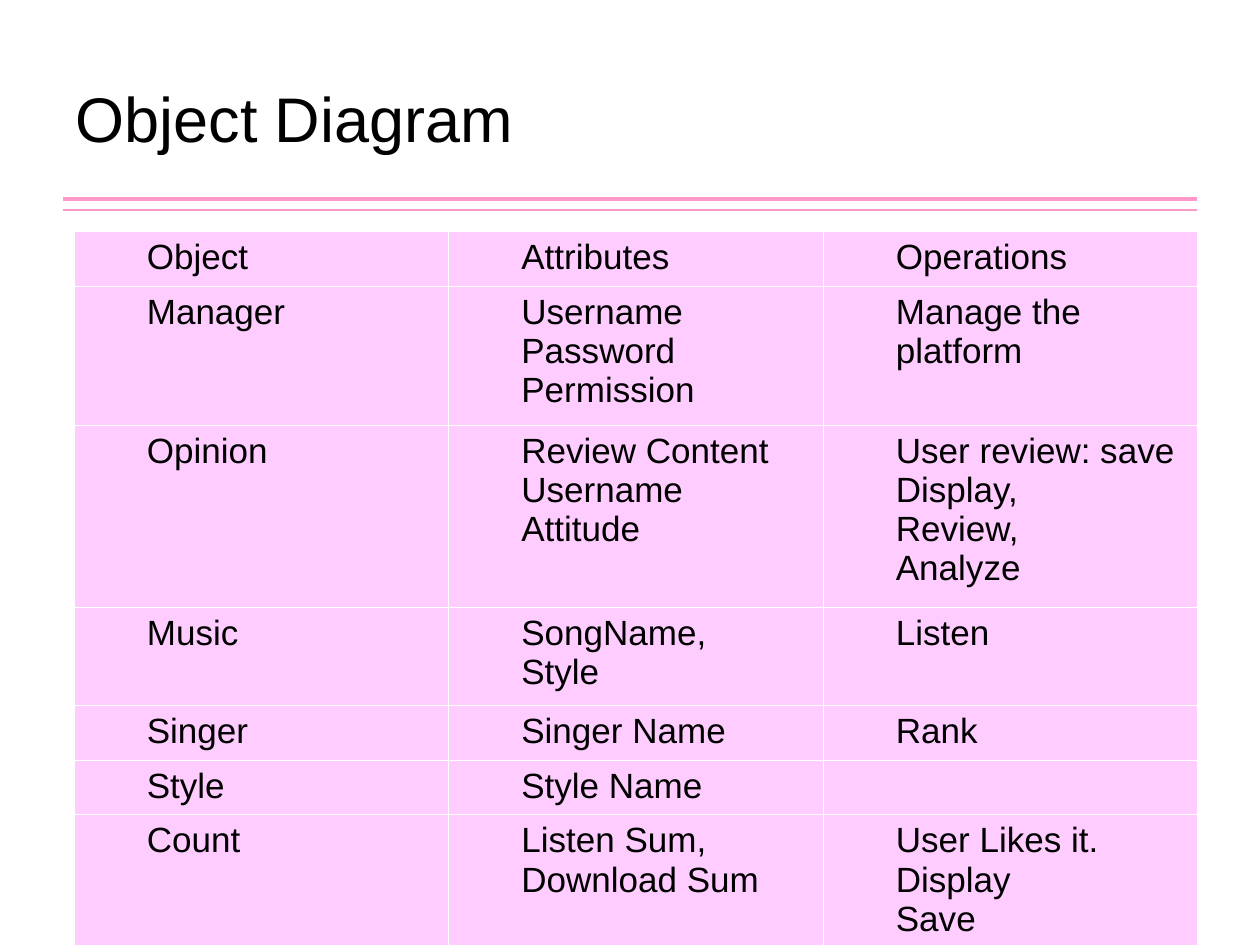
from dataclasses import dataclass

import pptx
import pptx.dml.color
import pptx.enum.shapes
import pptx.enum.text
import pptx.oxml
import pptx.oxml.ns
import pptx.util
from pptx.util import Cm

FONT = "Arial"
BLACK, WHITE, PINK, LILAC = "000000", "FFFFFF", "FF99CC", "FFCCFF"
COL_WIDTH = 7.55


@dataclass
class Rule:
    """A horizontal line under the title."""
    y: float
    weight: float


@dataclass
class Row:
    """One object with its attributes and operations."""
    height: float
    name: str
    attributes: str
    operations: str


RULES = [Rule(4.02, 2.25), Rule(4.23, 1.5)]
ROWS = [
    Row(1.08, "Object", "Attributes", "Operations"),
    Row(2.8, "Manager", "Username\nPassword\nPermission", "Manage the platform"),
    Row(3.67, "Opinion", "Review Content\nUsername\nAttitude",
        "User review: save\nDisplay,\nReview,\nAnalyze"),
    Row(1.96, "Music", "SongName,\nStyle", "Listen"),
    Row(1.08, "Singer", "Singer Name", "Rank"),
    Row(1.1, "Style", "Style Name", ""),
    Row(2.68, "Count", "Listen Sum, Download Sum", "User Likes it.\nDisplay\nSave"),
]


def rgb(color: str) -> pptx.dml.color.RGBColor:
    return pptx.dml.color.RGBColor.from_string(color)


def write(tf, text: str, *, size: float, color: str = BLACK, indent: float = 0) -> None:
    """Fill a text frame, one paragraph per line of text."""
    for i, line in enumerate(text.split("\n")):
        p = tf.paragraphs[0] if i == 0 else tf.add_paragraph()
        p.alignment = pptx.enum.text.PP_ALIGN.LEFT
        if indent:
            p._p.get_or_add_pPr().set("marL", str(Cm(indent)))
        p.font.size = pptx.util.Pt(size)
        if line:
            r = p.add_run()
            r.text = line
            r.font.name = FONT
            r.font.size = pptx.util.Pt(size)
            r.font.color.rgb = rgb(color)


def draw_rule(s, rule: Rule) -> None:
    line = s.shapes.add_connector(pptx.enum.shapes.MSO_CONNECTOR.STRAIGHT,
                                  Cm(1.27), Cm(rule.y), Cm(24.13), Cm(rule.y))
    line.line.color.rgb = rgb(PINK)
    line.line.width = pptx.util.Pt(rule.weight)
    pptx.oxml.ns.qn("a:effectLst")
    line._element.spPr.append(
        pptx.oxml.parse_xml(f"<a:effectLst {pptx.oxml.ns.nsdecls('a')}/>"))


def format_cell(cell, text: str) -> None:
    cell.margin_left = cell.margin_right = Cm(0.2)
    cell.margin_top = cell.margin_bottom = Cm(0.13)
    tc_pr = cell._tc.get_or_add_tcPr()
    for side in "LRTB":
        tc_pr.append(pptx.oxml.parse_xml(
            f'<a:ln{side} {pptx.oxml.ns.nsdecls("a")} w="{pptx.util.Pt(0.45)}">'
            f'<a:solidFill><a:srgbClr val="{WHITE}"/></a:solidFill></a:ln{side}>'))
    cell.fill.solid()
    cell.fill.fore_color.rgb = rgb(LILAC)
    write(cell.text_frame, text, size=20, indent=1.27)


def draw_table(s, rows: list[Row]) -> None:
    height = sum(row.height for row in rows)
    table = s.shapes.add_table(len(rows), 3, Cm(1.49), Cm(4.67),
                               Cm(3 * COL_WIDTH), Cm(height)).table
    table.first_row = table.horz_banding = False
    for col in table.columns:
        col.width = Cm(COL_WIDTH)
    for i, row in enumerate(rows):
        table.rows[i].height = Cm(row.height)
        for j, text in enumerate((row.name, row.attributes, row.operations)):
            format_cell(table.cell(i, j), text)


def draw_title(s, text: str) -> None:
    sp = s.shapes.title
    sp.left, sp.top, sp.width, sp.height = Cm(1.27), Cm(1.48), Cm(19.47), Cm(1.78)
    tf = sp.text_frame
    tf.word_wrap = True
    tf.auto_size = pptx.enum.text.MSO_AUTO_SIZE.SHAPE_TO_FIT_TEXT
    tf.vertical_anchor = pptx.enum.text.MSO_ANCHOR.MIDDLE
    write(tf, text, size=36)


def main() -> None:
    prs = pptx.Presentation()
    prs.slide_width, prs.slide_height = Cm(25.4), Cm(19.05)
    s = prs.slides.add_slide(prs.slide_layouts[5])

    # Title with its double rule
    for rule in RULES:
        draw_rule(s, rule)
    draw_title(s, "Object Diagram")

    # Objects, attributes and operations
    draw_table(s, ROWS)
    prs.save("out.pptx")


if __name__ == "__main__":
    main()
